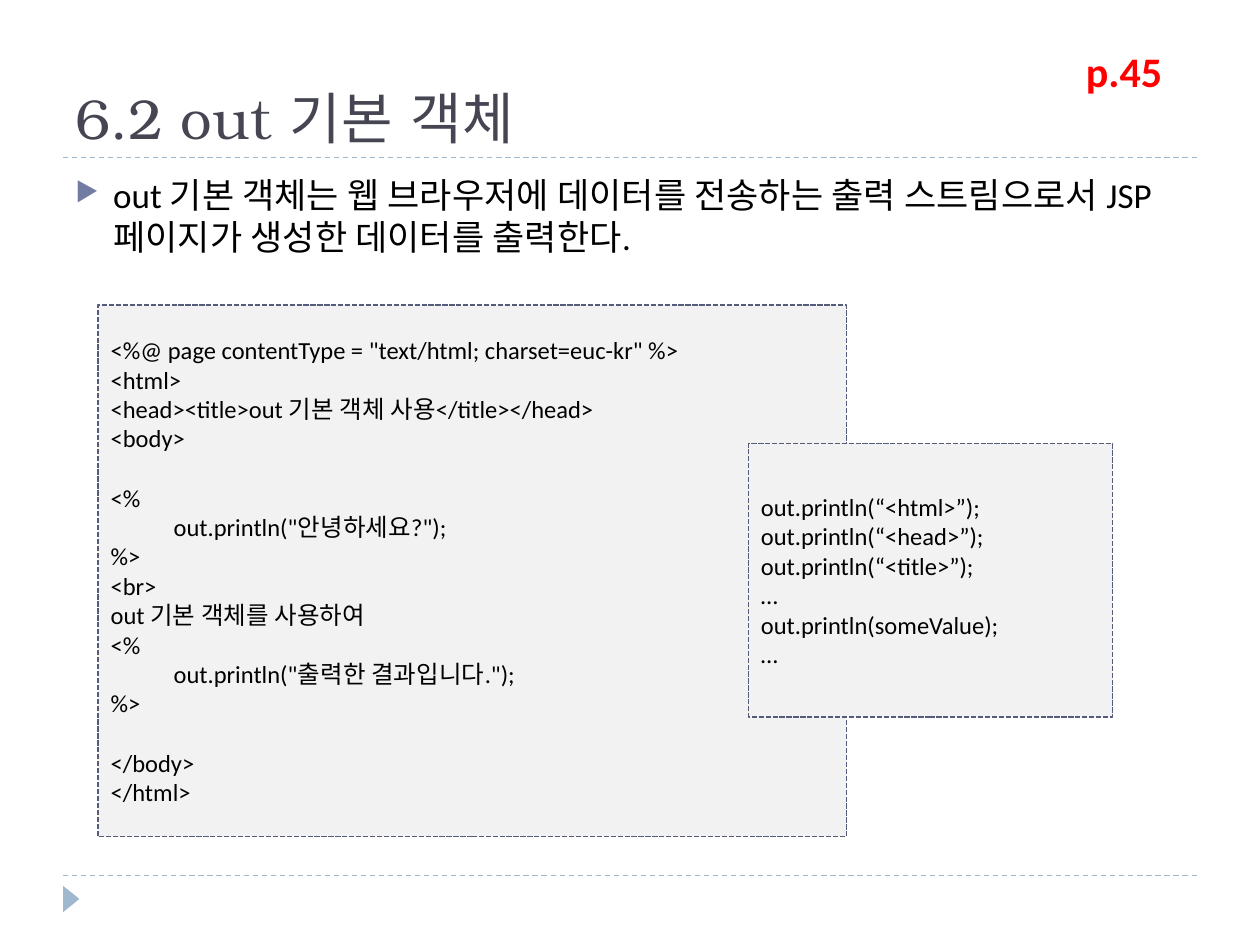
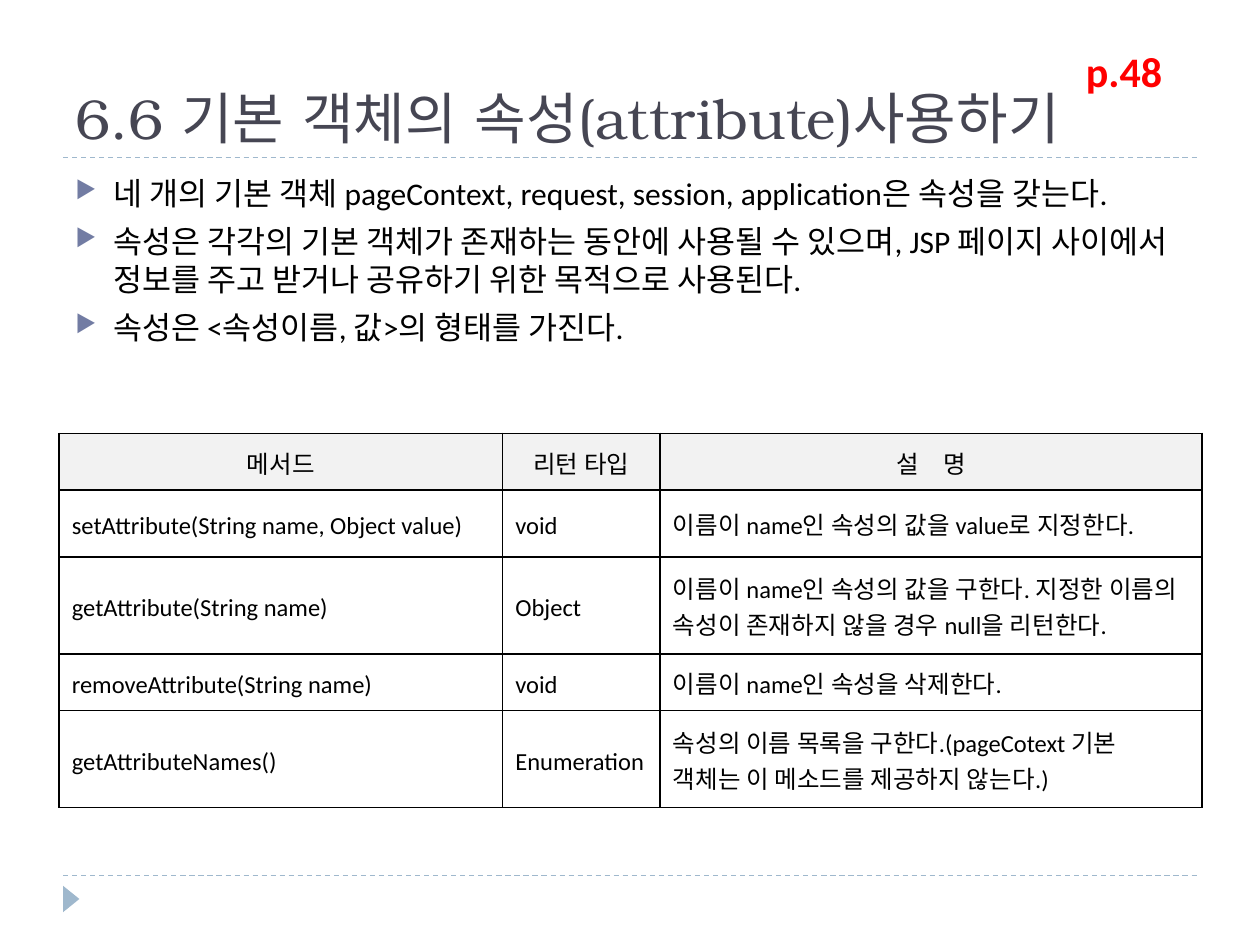
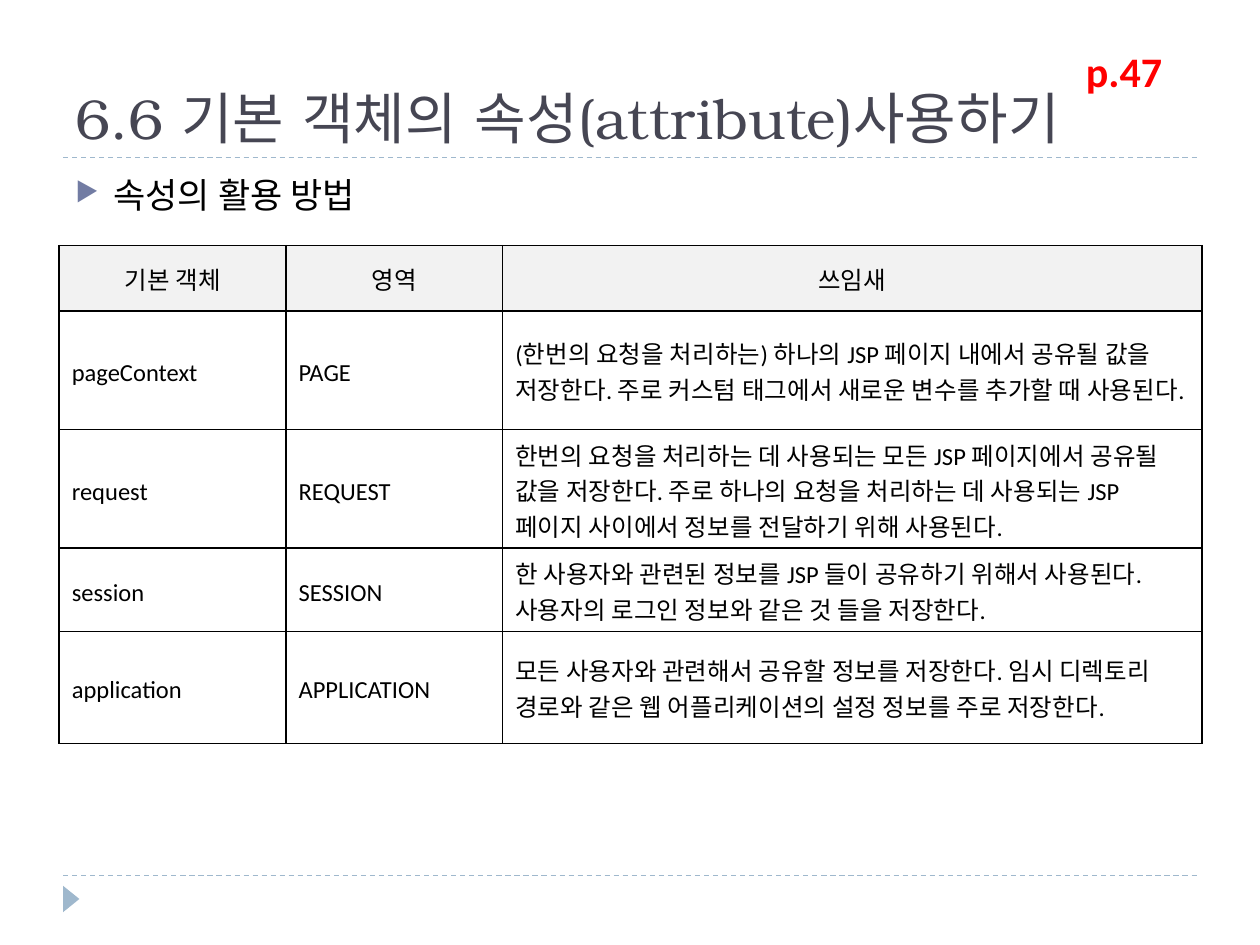
from lxml.etree import SubElement
from pptx import Presentation
from pptx.dml.color import RGBColor
from pptx.enum.dml import MSO_LINE
from pptx.enum.shapes import MSO_CONNECTOR, MSO_SHAPE
from pptx.enum.text import MSO_ANCHOR, MSO_AUTO_SIZE, PP_ALIGN
from pptx.oxml import parse_xml
from pptx.oxml.ns import nsdecls, qn
from pptx.util import Inches, Pt

COLUMNS, ROWS, CELL = 20, 15, 0.5
TITLE_LAYOUT = 5

INK, PANEL, ACCENT, RULE = "000000", "F2F2F2", "727CA3", "9FB8CD"
FONTS = {
    "title": dict(size=Pt(32), name="TeX Gyre Bonum", bold=False, color="464653"),
    "body": dict(size=Pt(20), name="Calibri", bold=False, color=INK),
    "small body": dict(size=Pt(18), name="Calibri", bold=False, color=INK),
    "detail": dict(size=Pt(14), name="Calibri", bold=False, color=INK),
    "page": dict(size=Pt(24), name="Calibri", bold=True, color="FF0000"),
}
BORDER = (
    '<a:{tag} {ns} w="12700"><a:solidFill><a:srgbClr val="{color}"/></a:solidFill></a:{tag}>'
)


def rgb(value):
    """Turn a hex string into a colour."""
    return RGBColor.from_string(value)


def grid(*lengths):
    """Turn grid columns or rows into slide lengths."""
    return [Inches(length * CELL) for length in lengths]


def set_values(target, **values):
    """Set each given attribute on the target."""
    for name, value in values.items():
        setattr(target, name, value)


class Deck:
    """Holds the shared style and the current slide."""

    def __init__(self):
        """Start a presentation of the grid's size."""
        self.presentation = Presentation()
        width, height = grid(COLUMNS, ROWS)
        set_values(self.presentation, slide_width=width, slide_height=height)
        self.slide = None

    def add_text(self, paragraph, text, style):
        """Add one run in a named style, with the same font for Korean."""
        values = dict(FONTS[style])
        run = paragraph.add_run()
        run.text = text
        run.font.color.rgb = rgb(values.pop("color"))
        set_values(run.font, **values)
        SubElement(run._r.get_or_add_rPr(), qn("a:ea"), typeface=values["name"])

    def fill_frame(self, frame, lines, style, **layout):
        """Put lines in as paragraphs and return those paragraphs."""
        for index, line in enumerate(lines):
            paragraph = frame.add_paragraph() if index else frame.paragraphs[0]
            set_values(paragraph, **layout)
            self.add_text(paragraph, line, style)
        return frame.paragraphs

    def new_slide(self, title, page):
        """Add a slide with its rules, marker, title and page reference."""
        layout = self.presentation.slide_layouts[TITLE_LAYOUT]
        self.slide = self.presentation.slides.add_slide(layout)
        self.rule(13.9)
        self.rule(2.5)
        self.marker()
        shape = self.slide.shapes.title
        left, top, width, height = grid(1, 0.34, 18, 2.16)
        set_values(shape, left=left, top=top, width=width, height=height)
        set_values(shape.text_frame, vertical_anchor=MSO_ANCHOR.BOTTOM,
                   auto_size=MSO_AUTO_SIZE.NONE, word_wrap=True)
        self.fill_frame(shape.text_frame, [title], "title", alignment=PP_ALIGN.LEFT)
        reference = self.slide.shapes.add_textbox(*grid(17.04, 0.62, 2.04, 1))
        set_values(reference.text_frame, word_wrap=True,
                   auto_size=MSO_AUTO_SIZE.SHAPE_TO_FIT_TEXT)
        self.fill_frame(reference.text_frame, [page], "page")

    def rule(self, row):
        """Draw a dashed line between the side margins."""
        line = self.slide.shapes.add_connector(
            MSO_CONNECTOR.STRAIGHT, *grid(1, row, COLUMNS - 1, row))
        line.line.color.rgb = rgb(RULE)
        set_values(line.line, width=Pt(0.75), dash_style=MSO_LINE.DASH)
        SubElement(line._element.spPr, qn("a:effectLst"))

    def marker(self):
        """Draw the footer triangle pointing right."""
        shape = self.slide.shapes.add_shape(
            MSO_SHAPE.ISOSCELES_TRIANGLE, *grid(0.92, 14.14, 0.42, 0.26))
        shape.rotation = 90
        shape.shadow.inherit = False
        shape.fill.solid()
        shape.fill.fore_color.rgb = rgb(RULE)
        shape.line.fill.background()

    def bullets(self, lines, style="body"):
        """Place the bulleted text below the title."""
        box = self.slide.shapes.add_textbox(*grid(1, 2.66, 18, 10.8))
        box.text_frame.word_wrap = True
        indent = Inches(0.3)
        for paragraph in self.fill_frame(box.text_frame, lines, style, space_before=Pt(6)):
            properties = paragraph._p.get_or_add_pPr()
            properties.set("marL", str(indent))
            properties.set("indent", str(-indent))
            color = SubElement(properties, qn("a:buClr"))
            SubElement(color, qn("a:srgbClr"), val=ACCENT)
            SubElement(properties, qn("a:buSzPct"), val="76000")
            SubElement(properties, qn("a:buChar"), char="▶")

    def code(self, place, *blocks):
        """Draw a dashed panel of code, its blocks one line apart."""
        shape = self.slide.shapes.add_shape(MSO_SHAPE.RECTANGLE, *grid(*place))
        shape.shadow.inherit = False
        shape.fill.solid()
        shape.fill.fore_color.rgb = rgb(PANEL)
        shape.line.color.rgb = rgb("545C79")
        set_values(shape.line, width=Pt(1), dash_style=MSO_LINE.SQUARE_DOT)
        set_values(shape.text_frame, word_wrap=True, vertical_anchor=MSO_ANCHOR.MIDDLE)
        lines = [line for block in blocks for line in block]
        paragraphs = self.fill_frame(
            shape.text_frame, lines, "detail", alignment=PP_ALIGN.LEFT)
        start = 0
        for block in blocks[:-1]:
            start += len(block)
            paragraphs[start].space_before = Pt(17)

    def table(self, top, widths, heights, rows):
        """Add a bordered table with a shaded, centred header row."""
        frame = self.slide.shapes.add_table(
            len(rows), len(widths), *grid(0.94, top, sum(widths), sum(heights)))
        table = frame.table
        set_values(table, first_row=False, horz_banding=False)
        for column, width in zip(table.columns, grid(*widths)):
            column.width = width
        for row, height in zip(table.rows, grid(*heights)):
            row.height = height
        for row_index, row in enumerate(rows):
            for column_index, text in enumerate(row):
                self.cell(table.cell(row_index, column_index), text, row_index == 0)

    def cell(self, cell, text, header):
        """Fill, shade and border one table cell."""
        cell.vertical_anchor = MSO_ANCHOR.MIDDLE
        alignment = PP_ALIGN.CENTER if header else PP_ALIGN.LEFT
        self.fill_frame(cell.text_frame, text.split("\n"), "detail",
                        alignment=alignment, line_spacing=1.2)
        properties = cell._tc.get_or_add_tcPr()
        for index, tag in enumerate(("lnL", "lnR", "lnT", "lnB")):
            border = BORDER.format(tag=tag, ns=nsdecls("a"), color=INK)
            properties.insert(index, parse_xml(border))
        if header:
            cell.fill.solid()
            cell.fill.fore_color.rgb = rgb(PANEL)
        else:
            cell.fill.background()


ATTRIBUTE_TITLE = "6.6 기본 객체의 속성(attribute)사용하기"
deck = Deck()

deck.new_slide("6.2 out 기본 객체", "p.45")
deck.bullets(["out 기본 객체는 웹 브라우저에 데이터를 전송하는 출력 스트림으로서 JSP "
              "페이지가 생성한 데이터를 출력한다."])
deck.code(
    (1.56, 4.84, 11.88, 8.44),
    ['<%@ page contentType = "text/html; charset=euc-kr" %>',
     "<html>",
     "<head><title>out 기본 객체 사용</title></head>",
     "<body>"],
    ["<%",
     '\tout.println("안녕하세요?");',
     "%>",
     "<br>",
     "out 기본 객체를 사용하여",
     "<%",
     '\tout.println("출력한 결과입니다.");',
     "%>"],
    ["</body>",
     "</html>"],
)
deck.code(
    (11.88, 7.04, 5.78, 4.34),
    ["out.println(“<html>”);",
     "out.println(“<head>”);",
     "out.println(“<title>”);",
     "…",
     "out.println(someValue);",
     "…"],
)

deck.new_slide(ATTRIBUTE_TITLE, "p.48")
deck.bullets([
    "네 개의 기본 객체 pageContext, request, session, application은 속성을 갖는다.",
    "속성은 각각의 기본 객체가 존재하는 동안에 사용될 수 있으며, JSP 페이지 "
    "사이에서 정보를 주고 받거나 공유하기 위한 목적으로 사용된다.",
    "속성은 <속성이름, 값>의 형태를 가진다.",
], "small body")
deck.table(6.88, [7.04, 2.5, 8.6], [0.9, 1.06, 1.54, 0.9, 1.54], [
    ("메서드", "리턴 타입", "설\u3000명"),
    ("setAttribute(String name, Object value)", "void",
     "이름이 name인 속성의 값을 value로 지정한다."),
    ("getAttribute(String name)", "Object",
     "이름이 name인 속성의 값을 구한다. 지정한 이름의 속성이 존재하지 않을 경우 "
     "null을 리턴한다."),
    ("removeAttribute(String name)", "void", "이름이 name인 속성을 삭제한다."),
    ("getAttributeNames()", "Enumeration",
     "속성의 이름 목록을 구한다.(pageCotext 기본 객체는 이 메소드를 제공하지 않는다.)"),
])

deck.new_slide(ATTRIBUTE_TITLE, "p.47")
deck.bullets(["속성의 활용 방법"])
deck.table(3.9, [3.6, 3.44, 11.1], [1.04, 1.84, 1.84, 1.3, 1.78], [
    ("기본 객체", "영역", "쓰임새"),
    ("pageContext", "PAGE",
     "(한번의 요청을 처리하는) 하나의 JSP 페이지 내에서 공유될 값을 저장한다. "
     "주로 커스텀 태그에서 새로운 변수를 추가할 때 사용된다."),
    ("request", "REQUEST",
     "한번의 요청을 처리하는 데 사용되는 모든 JSP 페이지에서 공유될 값을 저장한다. "
     "주로 하나의 요청을 처리하는 데 사용되는 JSP 페이지 사이에서 정보를 전달하기 "
     "위해 사용된다."),
    ("session", "SESSION",
     "한 사용자와 관련된 정보를 JSP 들이 공유하기 위해서 사용된다.\n"
     "사용자의 로그인 정보와 같은 것 들을 저장한다."),
    ("application", "APPLICATION",
     "모든 사용자와 관련해서 공유할 정보를 저장한다. 임시 디렉토리 경로와 같은 "
     "웹 어플리케이션의 설정 정보를 주로 저장한다."),
])

deck.presentation.save("out.pptx")
